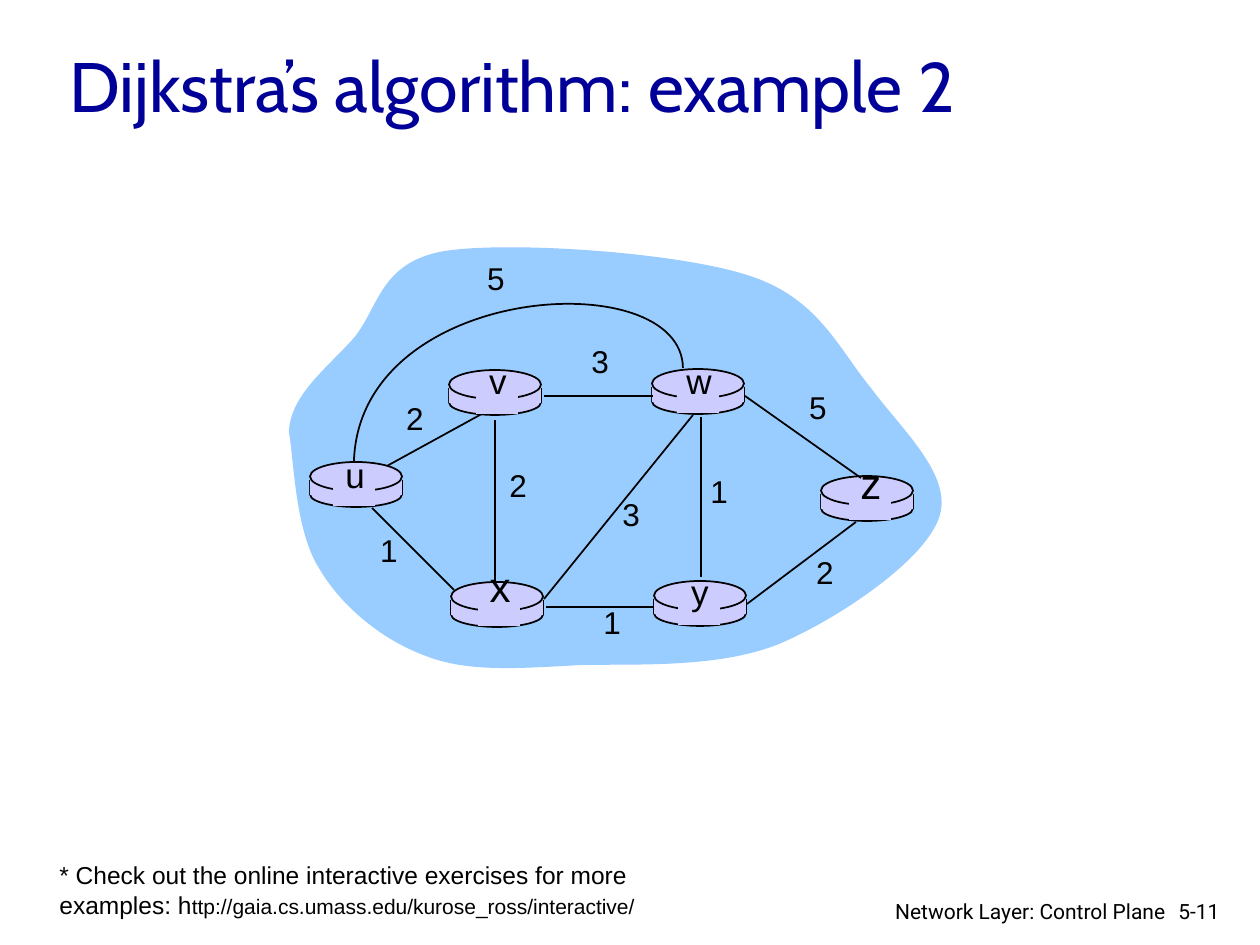
from dataclasses import dataclass

from lxml.etree import SubElement
from pptx import Presentation
from pptx.dml.color import RGBColor
from pptx.enum.shapes import MSO_CONNECTOR, MSO_SHAPE
from pptx.enum.text import MSO_ANCHOR, PP_ALIGN
from pptx.oxml.ns import qn
from pptx.util import Pt

EMU_PER_PX = 914400 / 126


@dataclass(frozen=True)
class Theme:
    ink: RGBColor = RGBColor(0x00, 0x00, 0x00)
    heading: RGBColor = RGBColor(0x00, 0x00, 0x99)
    cloud: RGBColor = RGBColor(0x99, 0xCC, 0xFF)
    router: RGBColor = RGBColor(0xCC, 0xCC, 0xFF)
    heading_font: str = "Cabin"
    body_font: str = "Arial"
    footer_font: str = "Roboto"
    heading_size: int = 40
    cost_size: int = 18
    note_size: int = 14
    small_size: int = 12
    line_width: int = 1


THEME = Theme()

TITLE = "Dijkstra’s algorithm: example 2"
NOTE = [
    ("* Check out the online interactive exercises for more examples: h", THEME.note_size),
    ("ttp://gaia.cs.umass.edu/kurose_ross/interactive/", THEME.small_size),
]
CHAPTER, PAGE = "Network Layer: Control Plane", "5-11"

# name, left, top, label centre, label top, label size
ROUTERS = [
    ("u", 310, 462, 355, 447, 20),
    ("x", 451, 582, 500, 554, 24),
    ("v", 449, 370, 498, 353, 20),
    ("w", 652, 369, 699, 353, 20),
    ("y", 654, 581, 700, 564, 20),
    ("z", 821, 476, 871, 451, 24),
]
ROUTER_WIDTH = 92

# start, end, cost, top left of the cost
LINK_BEHIND = ((387, 466), (489, 410), "2", (386, 393))
LINKS = [
    ((701, 417), (701, 577), "1", (690, 466)),
    ((495, 420), (495, 583), "2", (489, 460)),
    ((544, 599), (693, 415), "3", (602, 489)),
    ((747, 604), (856, 522), "2", (796, 547)),
    ((654, 607), (546, 607), "1", (583, 597)),
    ((454, 590), (372, 508), "1", (360, 525)),
    ((653, 396), (544, 396), "3", (571, 336)),
    ((861, 478), (745, 396), "5", (789, 382)),
]

# Start point, then two control points and an end point for each curve
CLOUD = [
    (289, 432),
    (290, 396), (326, 369), (353, 339),
    (379, 309), (379, 262), (445, 251),
    (510, 241), (675, 252), (747, 275),
    (818, 297), (838, 348), (871, 388),
    (902, 430), (954, 476), (939, 518),
    (924, 561), (838, 619), (779, 644),
    (719, 668), (640, 664), (582, 665),
    (523, 668), (469, 673), (426, 656),
    (382, 640), (341, 606), (319, 568),
    (295, 530), (294, 460), (289, 432),
]
ARC = [(683, 368), (682, 263), (360, 282), (354, 461)]
ARC_COST = ("5", (467, 253))


def px(*lengths):
    return [round(length * EMU_PER_PX) for length in lengths]


def paint(shape, fill=None, outlined=False):
    shape.shadow.inherit = False
    if fill is None:
        shape.fill.background()
    else:
        shape.fill.solid()
        shape.fill.fore_color.rgb = fill
    if outlined:
        shape.line.color.rgb = THEME.ink
        shape.line.width = Pt(THEME.line_width)
    else:
        shape.line.fill.background()


def add_preset(slide, kind, box, fill, outlined=False):
    paint(slide.shapes.add_shape(kind, *px(*box)), fill, outlined)


def add_line(slide, start, end):
    line = slide.shapes.add_connector(MSO_CONNECTOR.STRAIGHT, *px(*start, *end))
    line.line.color.rgb = THEME.ink
    line.line.width = Pt(THEME.line_width)
    SubElement(line._element.spPr, qn("a:effectLst"))


def add_curve(slide, points, closed, fill=None, outlined=False):
    """Build the control polygon, then turn each three segments into a cubic curve."""
    builder = slide.shapes.build_freeform(*points[0], scale=EMU_PER_PX)
    builder.add_line_segments(points[1:], close=closed)
    curve = builder.convert_to_shape()
    segments = list(curve._element.iter(qn("a:lnTo")))
    for first in range(0, len(segments), 3):
        triple = segments[first:first + 3]
        cubic = triple[0].makeelement(qn("a:cubicBezTo"))
        triple[0].addprevious(cubic)
        for segment in triple:
            cubic.append(segment[0])
            segment.getparent().remove(segment)
    paint(curve, fill, outlined)


def add_text(slide, box, runs, font, color=THEME.ink, align=PP_ALIGN.LEFT,
             anchor=MSO_ANCHOR.TOP, wrap=True):
    frame = slide.shapes.add_textbox(*px(*box)).text_frame
    frame.word_wrap = wrap
    frame.vertical_anchor = anchor
    paragraph = frame.paragraphs[0]
    paragraph.alignment = align
    paragraph.font.name = font
    paragraph.font.color.rgb = color
    if len(runs) == 1:
        paragraph.font.size = Pt(runs[0][1])
    for words, size in runs:
        run = paragraph.add_run()
        run.text = words
        if len(runs) > 1:
            run.font.size = Pt(size)


def add_label(slide, words, left, top, size, width=58):
    add_text(slide, (left, top, width, 71), [(words, size)], THEME.body_font,
             align=PP_ALIGN.CENTER, wrap=False)


def add_router(slide, left, top):
    right = left + ROUTER_WIDTH
    add_preset(slide, MSO_SHAPE.OVAL, (left, top + 20, ROUTER_WIDTH, 25), THEME.router, True)
    for side in (left, right):
        add_line(slide, (side, top + 18), (side, top + 33))
    add_preset(slide, MSO_SHAPE.RECTANGLE, (left, top + 18, ROUTER_WIDTH, 15), THEME.router)
    add_preset(slide, MSO_SHAPE.OVAL, (left, top, ROUTER_WIDTH, 29), THEME.router, True)


def add_network(slide):
    add_curve(slide, CLOUD, closed=True, fill=THEME.cloud)
    add_line(slide, *LINK_BEHIND[:2])
    for _, left, top, *_ in ROUTERS:
        add_router(slide, left, top)
    for start, end, *_ in LINKS:
        add_line(slide, start, end)
    add_curve(slide, ARC, closed=False, outlined=True)
    for name, _, top, centre, label_top, size in ROUTERS:
        add_preset(slide, MSO_SHAPE.RECTANGLE, (centre - 22, top + 4, 42, 40), THEME.router)
        add_label(slide, name, centre - 30, label_top, size, width=60)
    costs = [link[2:] for link in (LINK_BEHIND, *LINKS)] + [ARC_COST]
    for cost, (left, top) in costs:
        add_label(slide, cost, left, top, THEME.cost_size)


def main():
    deck = Presentation()
    deck.slide_width, deck.slide_height = px(1260, 945)
    slide = deck.slides.add_slide(deck.slide_layouts[6])
    add_text(slide, (57, 18, 1153, 132), [(TITLE, THEME.heading_size)],
             THEME.heading_font, THEME.heading, anchor=MSO_ANCHOR.MIDDLE)
    add_network(slide)
    add_text(slide, (1166, 892, 76, 38), [(PAGE, THEME.small_size)], THEME.footer_font)
    add_text(slide, (878, 892, 300, 33), [(CHAPTER, THEME.small_size)],
             THEME.footer_font, align=PP_ALIGN.RIGHT)
    add_text(slide, (47, 854, 621, 72), NOTE, THEME.body_font)
    deck.save("out.pptx")


if __name__ == "__main__":
    main()
